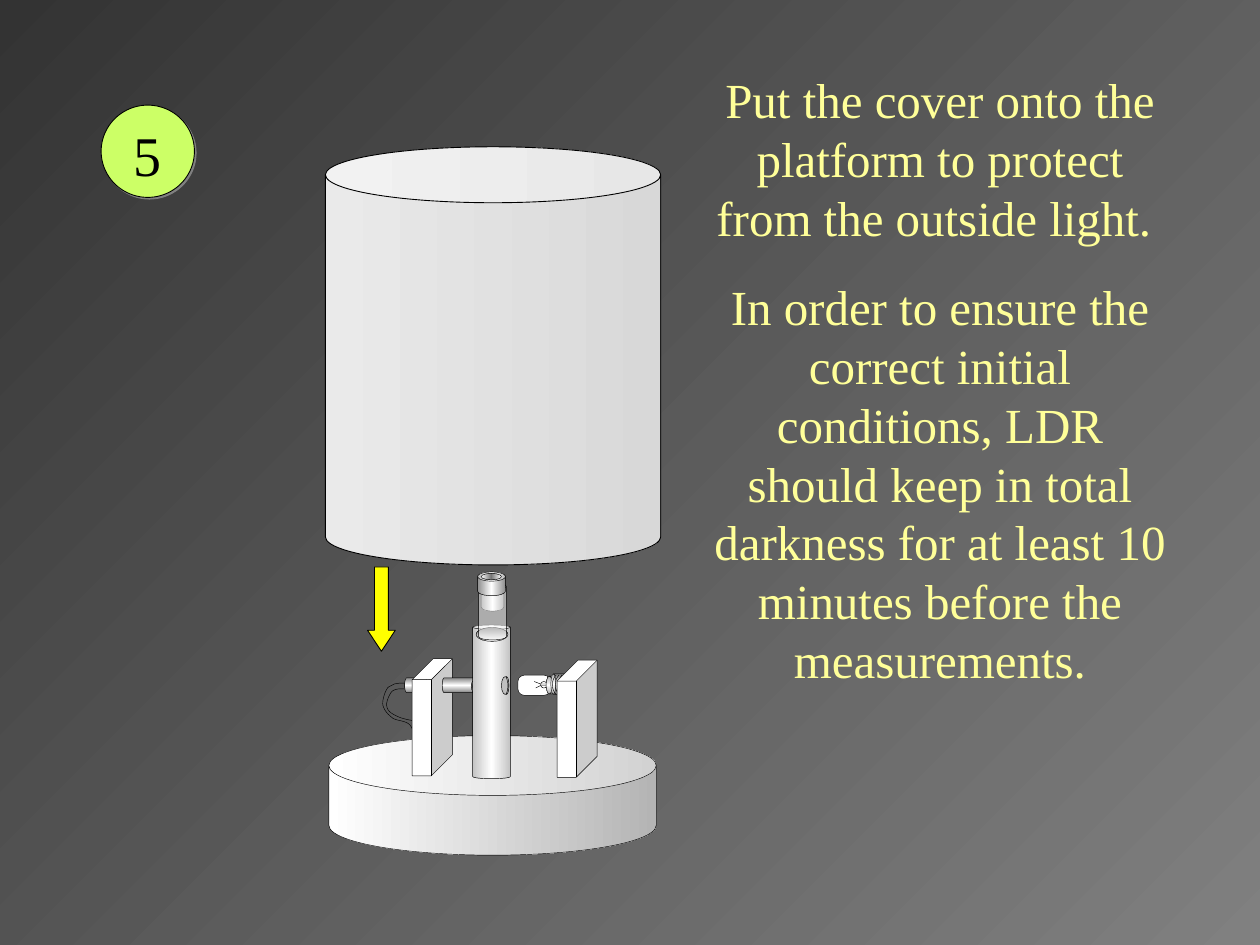
from copy import deepcopy

from lxml import etree
from pptx import Presentation
from pptx import util as u
from pptx.dml.color import RGBColor
from pptx.enum import shapes, text
from pptx.oxml.ns import qn

FONT = "Times New Roman"
SHAPE = shapes.MSO_SHAPE
METAL = ["767676", "FFFFFF", "767676"]
SLEEVE = ["858585", "FFFFFF", "858585"]
CAP = ["8D8D8D", "FFFFFF", "8D8D8D"]
THIN = 0.25


def color(value):
    return RGBColor.from_string(value)


def cm(*values):
    return [u.Cm(v) for v in values]


def set_fill(fill, value, angle=0):
    """Apply None, one hex string, or a list of evenly spaced gradient colours."""
    if value is None:
        fill.background()
    elif isinstance(value, str):
        fill.solid()
        fill.fore_color.rgb = color(value)
    else:
        fill.gradient()
        fill.gradient_angle = (360 - angle) % 360
        stop_list = fill.gradient_stops._gsLst
        while len(stop_list) < len(value):
            stop_list.append(deepcopy(stop_list[-1]))
        for i, (stop, c) in enumerate(zip(fill.gradient_stops, value)):
            stop.position = i / (len(value) - 1)
            stop.color.rgb = color(c)


def finish(sp, fill, angle=0, width=THIN):
    sp.shadow.inherit = False
    set_fill(sp.fill, fill, angle)
    sp.line.color.rgb = color("000000")
    sp.line.width = u.Pt(width)
    return sp


def add_shape(parent, kind, box, fill, adj=(), angle=0, rotation=0, width=THIN):
    sp = parent.shapes.add_shape(kind, *cm(*box))
    for i, value in enumerate(adj):
        sp.adjustments[i] = value
    sp.rotation = rotation
    return finish(sp, fill, angle, width)


def add_path(parent, points, fill=None):
    start, *rest = [cm(*p) for p in points]
    builder = parent.shapes.build_freeform(*start)
    builder.add_line_segments(rest, close=fill is not None)
    return finish(builder.convert_to_shape(), fill)


def curve(points, steps=8):
    """Sample a chain of cubic Bezier segments: start, then three points each."""
    result = [points[0]]
    for i in range(0, len(points) - 1, 3):
        for n in range(1, steps + 1):
            t = n / steps
            weights = (1 - t) ** 3, 3 * t * (1 - t) ** 2, 3 * t * t * (1 - t), t ** 3
            result.append(tuple(sum(w * p[axis] for w, p in zip(weights, points[i:i + 4]))
                                for axis in (0, 1)))
    return result


def set_transparency(sp, percent):
    rgb = sp.fill._xPr.find(qn("a:solidFill"))[0]
    etree.SubElement(rgb, qn("a:alpha"), val=str((100 - percent) * 1000))


def add_shadow(sp, value):
    effects = sp._element.spPr.find(qn("a:effectLst"))
    shadow = etree.SubElement(effects, qn("a:outerShdw"),
                              dist=str(u.Pt(1.4)), dir="2700000")
    etree.SubElement(shadow, qn("a:srgbClr"), val=value)


def write(tf, paragraphs, size, fill, margins, space_before=0):
    tf.word_wrap = True
    tf.vertical_anchor = text.MSO_ANCHOR.TOP
    tf.margin_left = tf.margin_right = u.Cm(margins[0])
    tf.margin_top = tf.margin_bottom = u.Cm(margins[1])
    for i, words in enumerate(paragraphs):
        p = tf.add_paragraph() if i else tf.paragraphs[0]
        p.alignment = text.PP_ALIGN.CENTER
        if i:
            p.space_before = u.Pt(space_before)
        r = p.add_run()
        r.text = words
        r.font.name = FONT
        r.font.size = u.Pt(size)
        r.font.color.rgb = color(fill)


def add_cover(s):
    group = s.shapes.add_group_shape()
    add_shape(group, SHAPE.CAN, (6.56, 2.96, 6.76, 8.43), ["EAEAEA", "D8D8D8"],
              [0.167], width=0.5)
    add_shape(group, SHAPE.DOWN_ARROW, (7.41, 11.43, 0.56, 1.7), "FFFF00",
              [0.5, 0.755], width=0.5)


def add_bulb(group):
    add_shape(group, SHAPE.ROUNDED_RECTANGLE, (10.44, 13.61, 0.66, 0.41), "FFFFFF", [0.33])
    add_shape(group, SHAPE.OVAL, (10.9, 13.74, 0.13, 0.13), "FFFFFF")
    add_path(group, [(11.07, 13.82), (10.9, 13.82), (10.8, 13.87)])
    add_path(group, [(11.07, 13.79), (10.9, 13.79), (10.77, 13.74)])
    add_shape(group, SHAPE.CAN, (10.97, 13.67, 0.36, 0.28), METAL, [0.461], rotation=270)
    add_shape(group, SHAPE.CAN, (11.23, 13.46, 0.41, 0.66), METAL, [0.256], rotation=270)
    for i in range(8):
        x = 11.63 - 0.06 * i
        add_path(group, curve([(x, 14), (x - 0.1, 13.9), (x - 0.1, 13.71), (x, 13.61)]))


def add_holder(group, left, top):
    add_shape(group, SHAPE.CUBE, (left, top, 0.81, 2.36), "FFFFFF", [0.522])


def add_sensor(group):
    add_shape(group, SHAPE.CAN, (8.26, 13.56, 0.3, 0.51), SLEEVE, [0.273], rotation=90)
    inner_wire = [(8.15, 13.89), (8.1, 13.89), (7.98, 13.87), (7.9, 13.94),
                  (7.85, 14), (7.77, 14.17), (7.8, 14.25),
                  (7.82, 14.35), (7.92, 14.4), (8.03, 14.45),
                  (8.13, 14.5), (8.36, 14.53), (8.43, 14.55),
                  (8.48, 14.61), (8.38, 14.68), (8.38, 14.71)]
    outer_wire = [(8.15, 13.77), (8.13, 13.77), (8.03, 13.77), (7.95, 13.79),
                  (7.9, 13.82), (7.82, 13.84), (7.8, 13.89),
                  (7.75, 13.97), (7.7, 14.15), (7.72, 14.22),
                  (7.75, 14.33), (7.82, 14.4), (7.92, 14.48),
                  (8, 14.53), (8.18, 14.53), (8.26, 14.61),
                  (8.33, 14.68), (8.36, 14.86), (8.38, 14.94)]
    for wire in (inner_wire, outer_wire):
        add_path(group, curve(wire))
    add_holder(group, 8.31, 13.28)
    add_shape(group, SHAPE.CAN, (9.12, 13.46, 0.3, 0.71), SLEEVE, [0.233], rotation=90)
    add_shape(group, SHAPE.OVAL, (9.5, 13.72, 0.1, 0.23), ["FFFFFF", "767676", "FFFFFF"],
              angle=90)


def add_column(group):
    add_shape(group, SHAPE.CAN, (9.53, 12.6, 0.76, 3.1), ["C4C4C4", "FFFFFF", "C4C4C4"],
              [0.116])
    add_shape(group, SHAPE.OVAL, (9.6, 12.65, 0.64, 0.28), ["767676", "FFFFFF"], angle=90)
    add_shape(group, SHAPE.OVAL, (10.11, 13.64, 0.15, 0.36), "C0C0C0")
    hole_edge = [(10.21, 13.64), (10.21, 13.69), (10.24, 13.72), (10.24, 13.82),
                 (10.24, 13.92), (10.21, 13.97), (10.21, 14),
                 (10.24, 14), (10.26, 13.92), (10.26, 13.82),
                 (10.26, 13.72), (10.24, 13.64), (10.21, 13.64)]
    add_path(group, curve(hole_edge), "C0C0C0")


def add_vial(group):
    add_shape(group, SHAPE.CAN, (9.7, 11.84, 0.46, 0.48), CAP, [0.347])
    glass = add_shape(group, SHAPE.CAN, (9.65, 11.76, 0.56, 1.14), "FFFFFF", [0.224])
    set_transparency(glass, 50)
    add_shape(group, SHAPE.CAN, (9.63, 11.53, 0.56, 0.48), CAP, [0.389])
    add_shape(group, SHAPE.OVAL, (9.7, 11.56, 0.41, 0.13), ["FFFFFF", "767676", "FFFFFF"])


def add_platform(s):
    group = s.shapes.add_group_shape()
    add_shape(group, SHAPE.CAN, (6.63, 14.83, 6.6, 2.41), ["FFFFFF", "B4B4B4"], [0.5])
    add_bulb(group)
    add_holder(group, 11.23, 13.31)
    add_sensor(group)
    add_column(group)
    add_vial(group)


def main():
    prs = Presentation()
    prs.slide_width, prs.slide_height = cm(25.4, 19.05)
    s = prs.slides.add_slide(prs.slide_layouts[6])
    set_fill(s.background.fill, ["333333", "808080"], 45)
    add_cover(s)
    add_platform(s)
    box = s.shapes.add_textbox(*cm(13.97, 1.27, 9.96, 12.73))
    write(box.text_frame, [
        "Put the cover onto the platform to protect from the outside light. ",
        "In order to ensure the correct initial conditions, LDR should keep in total "
        "darkness for at least 10 minutes before the measurements.",
    ], size=28, fill="FFFF99", margins=(0.28, 0.13), space_before=17.5)
    step = add_shape(s, SHAPE.OVAL, (2.04, 2.12, 1.88, 1.86), "CCFF66", width=0.5)
    add_shadow(step, "808080")
    write(step.text_frame, ["5"], size=32, fill="000000", margins=(0.05, 0.03))
    prs.save("out.pptx")


if __name__ == "__main__":
    main()
